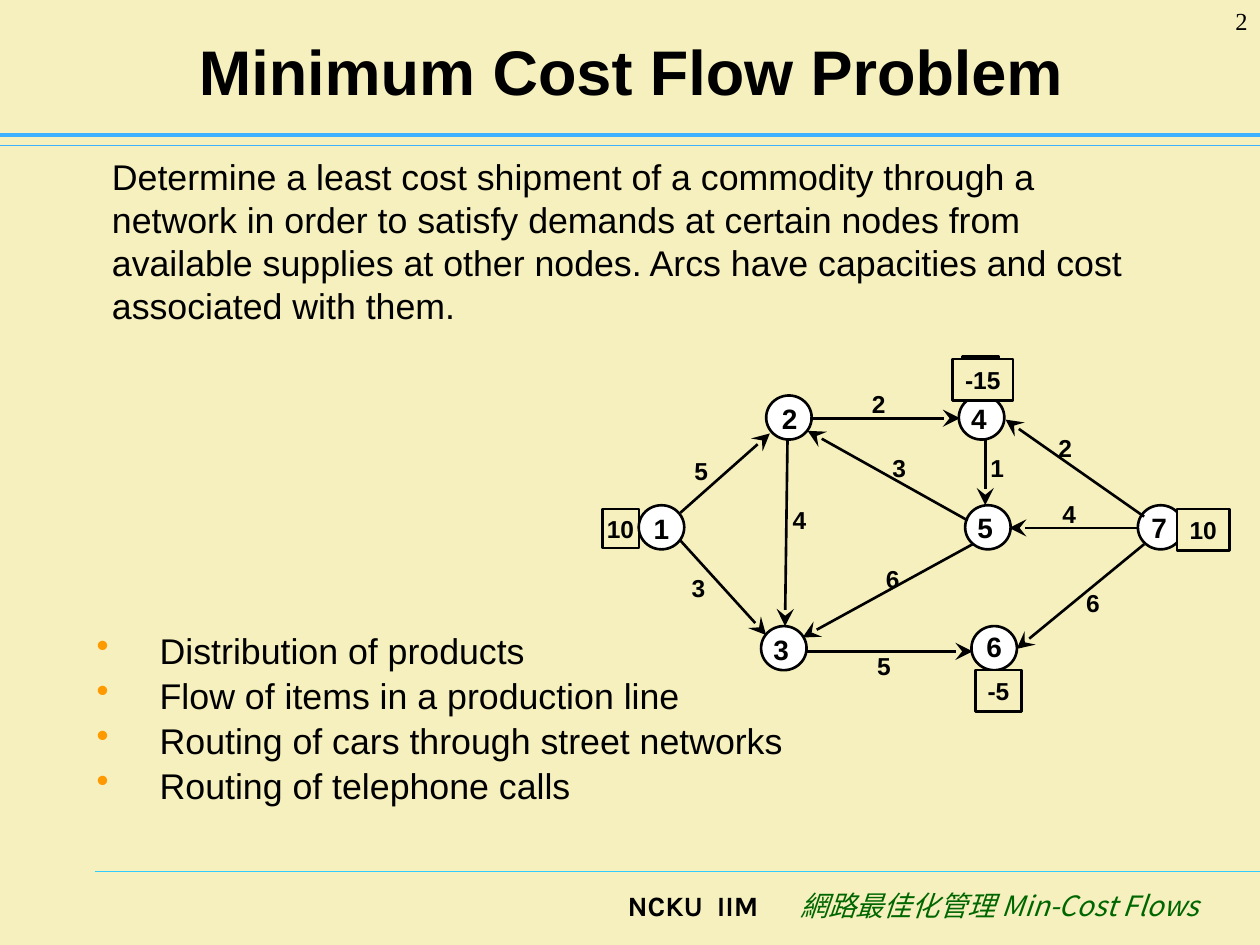
from dataclasses import dataclass

from lxml import etree
from pptx import Presentation
from pptx import util as u
from pptx.dml.color import RGBColor
from pptx.enum import shapes, text
from pptx.oxml import ns

BLACK, PAPER, WHITE = "000000", "F5F0BD", "FFFFFF"
NODE_W, NODE_H = 26, 25.2


@dataclass
class Style:
    size: float
    bold: bool = False
    italic: bool = False
    font: str = "Arial"
    color: str = BLACK


@dataclass
class Node:
    name: str
    left: float
    top: float
    label_dx: float = 0
    label_dy: float = 0


@dataclass
class Arc:
    cost: str
    start: tuple[float, float]
    end: tuple[float, float]
    label: tuple[float, float]


@dataclass
class Supply:
    amount: str
    left: float
    top: float
    width: float
    height: float


TITLE = Style(36, bold=True)
BODY = Style(20.4)
NODE_TEXT = Style(16, bold=True)
SMALL = Style(14, bold=True)

NODES = [
    Node("1", 365, 288.7, 1.5),
    Node("2", 437.8, 226, 2),
    Node("3", 434.9, 357.8),
    Node("4", 547.9, 226),
    Node("5", 551.5, 288.7, 0, -0.7),
    Node("6", 555.1, 357.8, 1.5, -1.4),
    Node("7", 650.2, 288.7, 0.7, -0.7),
]
ARCS = [
    Arc("5", (388.8, 293), (439.9, 247.7), (389.5, 257)),
    Arc("3", (388.8, 308.9), (437.8, 362.9), (388, 324)),
    Arc("4", (450, 251.3), (448.6, 357.8), (445.7, 285)),
    Arc("2", (463, 239), (548.6, 239), (491, 218.9)),
    Arc("5", (460.8, 372.2), (555.8, 372.2), (493.9, 368.6)),
    Arc("6", (653.8, 311), (581, 370.8), (613.4, 332.6)),
    Arc("4", (650.9, 301.7), (576.7, 301.7), (599.8, 281.5)),
    Arc("2", (653.8, 295.2), (574.6, 239.8), (597.6, 244)),
    Arc("1", (563, 251.3), (563, 288.7), (558.7, 255.6)),
    Arc("3", (553, 297.4), (461.5, 246.2), (502.6, 255.6)),
    Arc("6", (555.8, 311), (458.6, 364.3), (499, 319)),
]
SUPPLIES = [
    Supply("10", 672.5, 290.9, 30.2, 23.8),
    Supply("-5", 557.3, 383, 26.6, 23.8),
    Supply("-15", 544.3, 205.2, 34.6, 23.8),
]
USES = [
    "Distribution of products",
    "Flow of items in a production line",
    "Routing of cars through street networks",
    "Routing of telephone calls",
]


def rgb(value: str) -> RGBColor:
    return RGBColor.from_string(value)


def add_span(para, words: str, style: Style) -> None:
    span = para.add_run()
    span.text = words
    font = span.font
    font.size, font.name = u.Pt(style.size), style.font
    font.bold, font.italic = style.bold, style.italic
    font.color.rgb = rgb(style.color)
    east_asian = etree.SubElement(span._r.get_or_add_rPr(), ns.qn("a:ea"))
    east_asian.set("typeface", style.font)


def add_box(page, left: float, top: float, width: float, height: float,
            words: str, style: Style, align=text.PP_ALIGN.LEFT, wrap=True,
            anchor=text.MSO_ANCHOR.TOP):
    box = page.shapes.add_textbox(*map(u.Pt, (left, top, width, height)))
    box.text_frame.word_wrap = wrap
    box.text_frame.vertical_anchor = anchor
    para = box.text_frame.paragraphs[0]
    para.alignment = align
    add_span(para, words, style)
    return box


def add_label(page, left: float, top: float, width: float, height: float,
              words: str, style: Style):
    """Add a short centred text that may use the full width of its box."""
    box = add_box(page, left, top, width, height, words, style,
                  text.PP_ALIGN.CENTER, wrap=False)
    box.text_frame.margin_left = box.text_frame.margin_right = u.Pt(0)
    return box


def outline(shape, fill: str) -> None:
    shape.fill.solid()
    shape.fill.fore_color.rgb = rgb(fill)
    shape.line.color.rgb = rgb(BLACK)
    shape.line.width = u.Pt(1.5)


def add_outlined(page, kind, left: float, top: float, width: float,
                 height: float, fill: str) -> None:
    shape = page.shapes.add_shape(kind, *map(u.Pt, (left, top, width, height)))
    shape.shadow.inherit = False
    outline(shape, fill)


def add_line(page, start, end, color: str, width: float, arrow=False) -> None:
    line = page.shapes.add_connector(shapes.MSO_CONNECTOR.STRAIGHT,
                                     *map(u.Pt, (*start, *end)))
    line.line.color.rgb = rgb(color)
    line.line.width = u.Pt(width)
    if arrow:
        etree.SubElement(line.line._get_or_add_ln(), ns.qn("a:tailEnd"),
                         type="stealth", w="lg", len="lg")
    etree.SubElement(line._element.spPr, ns.qn("a:effectLst"))


def add_bullet(para) -> None:
    properties = para._p.get_or_add_pPr()
    properties.set("marL", str(u.Pt(36)))
    properties.set("indent", str(-u.Pt(36)))
    color = etree.SubElement(properties, ns.qn("a:buClr"))
    etree.SubElement(color, ns.qn("a:srgbClr")).set("val", "FF9900")
    etree.SubElement(properties, ns.qn("a:buChar")).set("char", "•")


def add_frame(page) -> None:
    """Draw the rules, the footer and the page number."""
    add_line(page, (54, 498.2), (720, 498.2), "33CCFF", 0.75)
    add_line(page, (0, 83.2), (720, 83.2), "3DB0FF", 0.75)
    add_line(page, (0, 77), (720, 77), "3DB0FF", 2.5)
    right = text.PP_ALIGN.RIGHT
    add_box(page, 320, 504, 120.5, 36, "NCKU  IIM",
            Style(16, bold=True, font="Karla"), right)
    add_box(page, 440, 504, 252, 36, "網路最佳化管理 Min-Cost Flows",
            Style(16, italic=True, font="Noto Sans CJK SC", color="006600"), right)
    add_box(page, 660, 0, 60, 36, "2", Style(14, font="Times New Roman"), right)


def add_uses(page) -> None:
    box = add_box(page, 48.2, 360.7, 612, 118, USES[0], BODY)
    for _ in USES[1:]:
        box.text_frame.add_paragraph()
    for index, (para, use) in enumerate(zip(box.text_frame.paragraphs, USES)):
        add_bullet(para)
        para.line_spacing = 0.8
        if index:
            para.space_before = u.Pt(6)
            add_span(para, use, BODY)


def add_network(page) -> None:
    rectangle = shapes.MSO_SHAPE.RECTANGLE
    add_outlined(page, rectangle, 550, 203.8, 20.9, 22.3, "C64B00")
    add_outlined(page, rectangle, 344.2, 290.9, 20.9, 22.3, PAPER)
    for node in NODES:
        add_outlined(page, shapes.MSO_SHAPE.OVAL, node.left, node.top,
                     NODE_W, NODE_H, WHITE)
    for arc in ARCS:
        add_line(page, arc.start, arc.end, BLACK, 1.5, arrow=True)
    for node in NODES:
        add_label(page, node.left + node.label_dx, node.top + node.label_dy,
                  23, 26.6, node.name, NODE_TEXT)
    add_label(page, 339.8, 290.2, 29.5, 24.5, "10", SMALL)
    for supply in SUPPLIES:
        box = add_label(page, supply.left, supply.top, supply.width,
                        supply.height, supply.amount, SMALL)
        box.text_frame.vertical_anchor = text.MSO_ANCHOR.MIDDLE
        outline(box, PAPER)
    for arc in ARCS:
        add_label(page, *arc.label, 22.3, 24.5, arc.cost, SMALL)


def main() -> None:
    deck = Presentation()
    deck.slide_width, deck.slide_height = u.Pt(720), u.Pt(540)
    page = deck.slides.add_slide(deck.slide_layouts[6])
    page.background.fill.solid()
    page.background.fill.fore_color.rgb = rgb(PAPER)
    add_frame(page)
    add_box(page, 36.7, 9, 648, 62.6, "Minimum Cost Flow Problem", TITLE,
            text.PP_ALIGN.CENTER, anchor=text.MSO_ANCHOR.MIDDLE)
    add_box(
        page, 56.9, 85, 612, 105,
        "Determine a least cost shipment of a commodity through a network in "
        "order to satisfy demands at certain nodes from available supplies at "
        "other nodes. Arcs have capacities and cost associated with them.", BODY)
    add_uses(page)
    add_network(page)
    deck.save("out.pptx")


if __name__ == "__main__":
    main()
